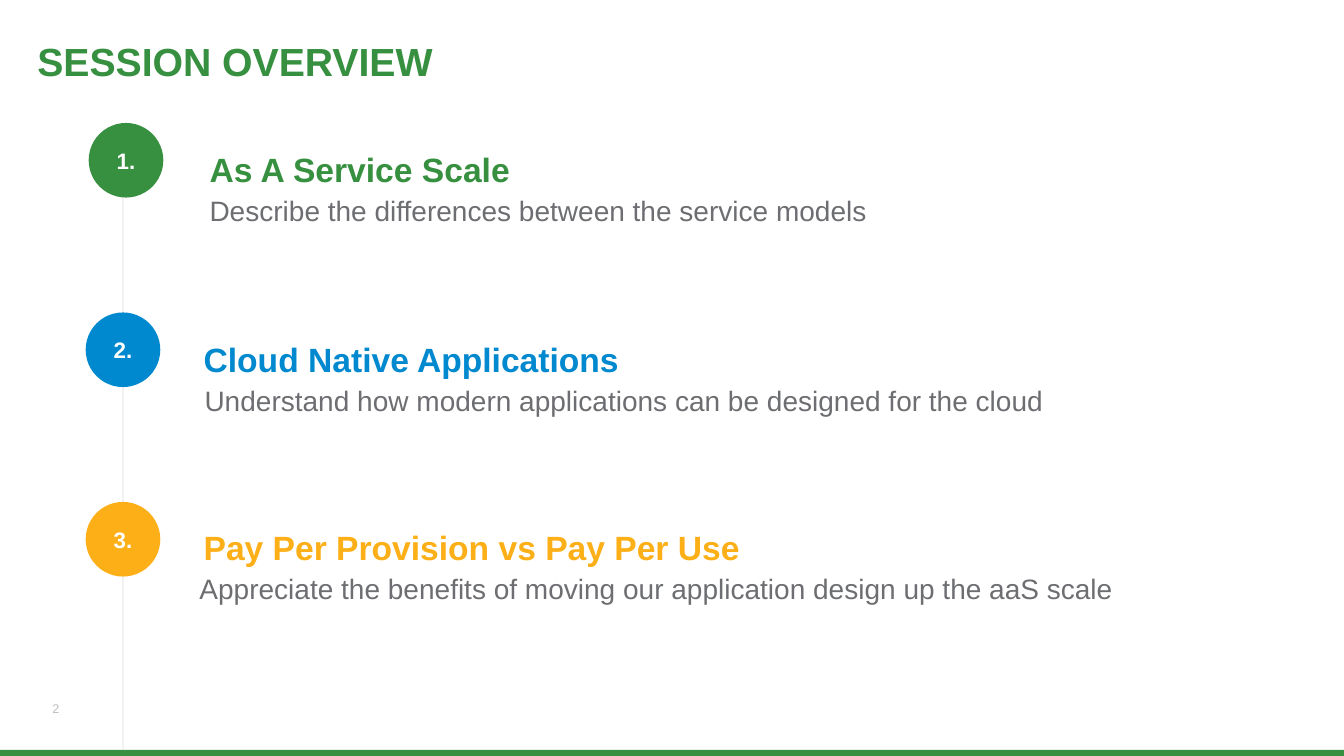
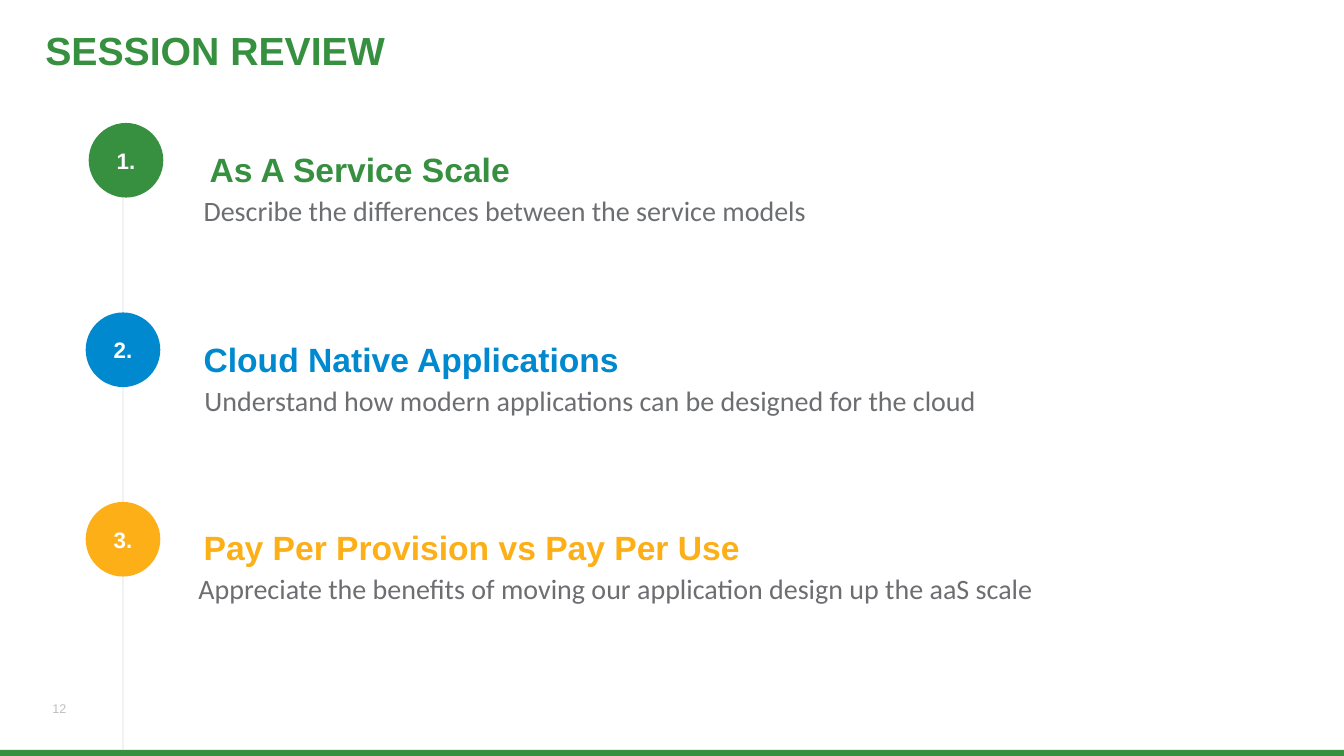
from pptx import Presentation
from pptx.dml.color import RGBColor
from pptx.enum.shapes import MSO_CONNECTOR, MSO_SHAPE
from pptx.enum.text import MSO_ANCHOR, MSO_AUTO_SIZE, PP_ALIGN
from pptx.util import Inches, Pt
from lxml import etree

GREEN = RGBColor(0x36, 0x90, 0x40)
BLUE = RGBColor(0x00, 0x89, 0xCF)
AMBER = RGBColor(0xFC, 0xAF, 0x17)
GREY = RGBColor(0x6D, 0x6E, 0x71)
PALE = RGBColor(0xF2, 0xF2, 0xF2)
SILVER = RGBColor(0xBF, 0xBF, 0xBF)
WHITE = RGBColor(0xFF, 0xFF, 0xFF)

RECT, OVAL = MSO_SHAPE.RECTANGLE, MSO_SHAPE.OVAL
LINE = MSO_CONNECTOR.STRAIGHT
TOP, MIDDLE = MSO_ANCHOR.TOP, MSO_ANCHOR.MIDDLE
LEFT, CENTER = PP_ALIGN.LEFT, PP_ALIGN.CENTER
FIT, FIXED = MSO_AUTO_SIZE.SHAPE_TO_FIT_TEXT, MSO_AUTO_SIZE.NONE
A_NS = "http://schemas.openxmlformats.org/drawingml/2006/main"

# heading, caption, colour, disc left, heading left, heading top, caption top
TOPICS = [
    ("As A Service Scale",
     "Describe the differences between the service models",
     GREEN, 0.88, 2.08, 1.32, 1.87),
    ("Cloud Native Applications",
     "Understand how modern applications can be designed for the cloud",
     BLUE, 0.85, 2.02, 3.2, 3.76),
    ("Pay Per Provision vs Pay Per Use",
     "Appreciate the benefits of moving our application design up the aaS scale",
     AMBER, 0.85, 2.02, 5.07, 5.62),
]
# title, title left and top, page number, caption font, caption lefts and widths
PAGES = [
    ("SESSION OVERVIEW", 0.37, 0.42, "2", "Arial",
     [(1.98, 6.77), (1.93, 8.59), (1.88, 9.33)]),
    ("SESSION REVIEW", 0.45, 0.31, "12", "Calibri",
     [(1.92, 6.32), (1.93, 8), (1.87, 8.63)]),
]
DISC, DISC_TOP, DISC_STEP = 0.74, 1.22, 1.88


def write(frame, text, size, color, bold=False, font="Arial", align=LEFT):
    """Put one styled paragraph in a text frame and return it."""
    frame.text = text
    par = frame.paragraphs[0]
    par.alignment = align
    par.font.size, par.font.bold, par.font.name = Pt(size), bold, font
    par.font.color.rgb = color
    return par


def strip(frame):
    """Remove the insets of a text frame and pin its text to the top."""
    frame.margin_left = frame.margin_right = 0
    frame.margin_top = frame.margin_bottom = 0
    frame.vertical_anchor = TOP
    frame.auto_size = FIXED
    frame.word_wrap = True


def add_text(slide, box):
    """Add an inset-free text box and return its frame."""
    frame = slide.shapes.add_textbox(*map(Inches, box)).text_frame
    strip(frame)
    return frame


def add_solid(slide, kind, box, color):
    """Add a flat filled shape without outline."""
    shape = slide.shapes.add_shape(kind, *map(Inches, box))
    shape.shadow.inherit = False
    shape.fill.solid()
    shape.fill.fore_color.rgb = color
    shape.line.fill.background()
    return shape


def set_frame(layout, slide):
    """Draw the foot band and the rail, then move them to the layout."""
    for holder in list(layout.placeholders)[1:]:
        layout.shapes.element.remove(holder.element)
    band = add_solid(slide, RECT, (0, 7.44, 13.33, 0.07), GREEN)
    rail = slide.shapes.add_connector(
        LINE, *map(Inches, (1.22, 1.8, 1.22, 7.43)))
    rail.line.color.rgb, rail.line.width = PALE, Pt(1)
    etree.SubElement(rail.element.spPr, f"{{{A_NS}}}effectLst")
    for part in (band, rail):
        layout.shapes.element.append(part.element)


def set_title(slide, text, left, top):
    """Place and style the title placeholder."""
    title = slide.shapes.title
    title.left, title.top = Inches(left), Inches(top)
    title.width, title.height = Inches(12.27), Inches(0.35)
    strip(title.text_frame)
    par = write(title.text_frame, text, 28, GREEN, bold=True)
    par.line_spacing = 0.9


def add_disc(slide, index, left, color):
    """Add the numbered disc of a topic."""
    top = DISC_TOP + index * DISC_STEP
    disc = add_solid(slide, OVAL, (left, top, DISC, DISC), color)
    disc.text_frame.vertical_anchor = MIDDLE
    write(disc.text_frame, f"{index + 1}.", 16, WHITE, True, align=CENTER)


def add_head(slide, text, left, top, color):
    """Add the coloured heading of a topic."""
    frame = add_text(slide, (left, top, 10.7, 0.96))
    par = write(frame, text, 24, color, bold=True)
    par.line_spacing, par.space_before = 1.4, Pt(10)


def add_note(slide, text, left, top, width, font):
    """Add the one-line caption under a heading."""
    box = map(Inches, (left, top, width, 0.44))
    frame = slide.shapes.add_textbox(*box).text_frame
    frame.word_wrap, frame.auto_size = False, FIT
    write(frame, text, 20, GREY, font=font)


def add_page(slide, title, left, top, number, font, spans):
    """Fill a slide with its title, page number and topics."""
    set_title(slide, title, left, top)
    write(add_text(slide, (0.52, 6.95, 3, 0.4)), number, 9, SILVER)
    for index, (topic, span) in enumerate(zip(TOPICS, spans)):
        head, note, color, disc_x, head_x, head_y, note_y = topic
        note_x, width = span
        add_disc(slide, index, disc_x, color)
        add_head(slide, head, head_x, head_y, color)
        add_note(slide, note, note_x, note_y, width, font)


def main():
    """Build and save the deck."""
    deck = Presentation()
    deck.slide_width, deck.slide_height = Inches(13.33), Inches(7.5)
    layout = deck.slide_layouts[5]
    slides = [deck.slides.add_slide(layout) for _ in PAGES]
    set_frame(layout, slides[0])
    for slide, page in zip(slides, PAGES):
        add_page(slide, *page)
    deck.save("out.pptx")


main()
